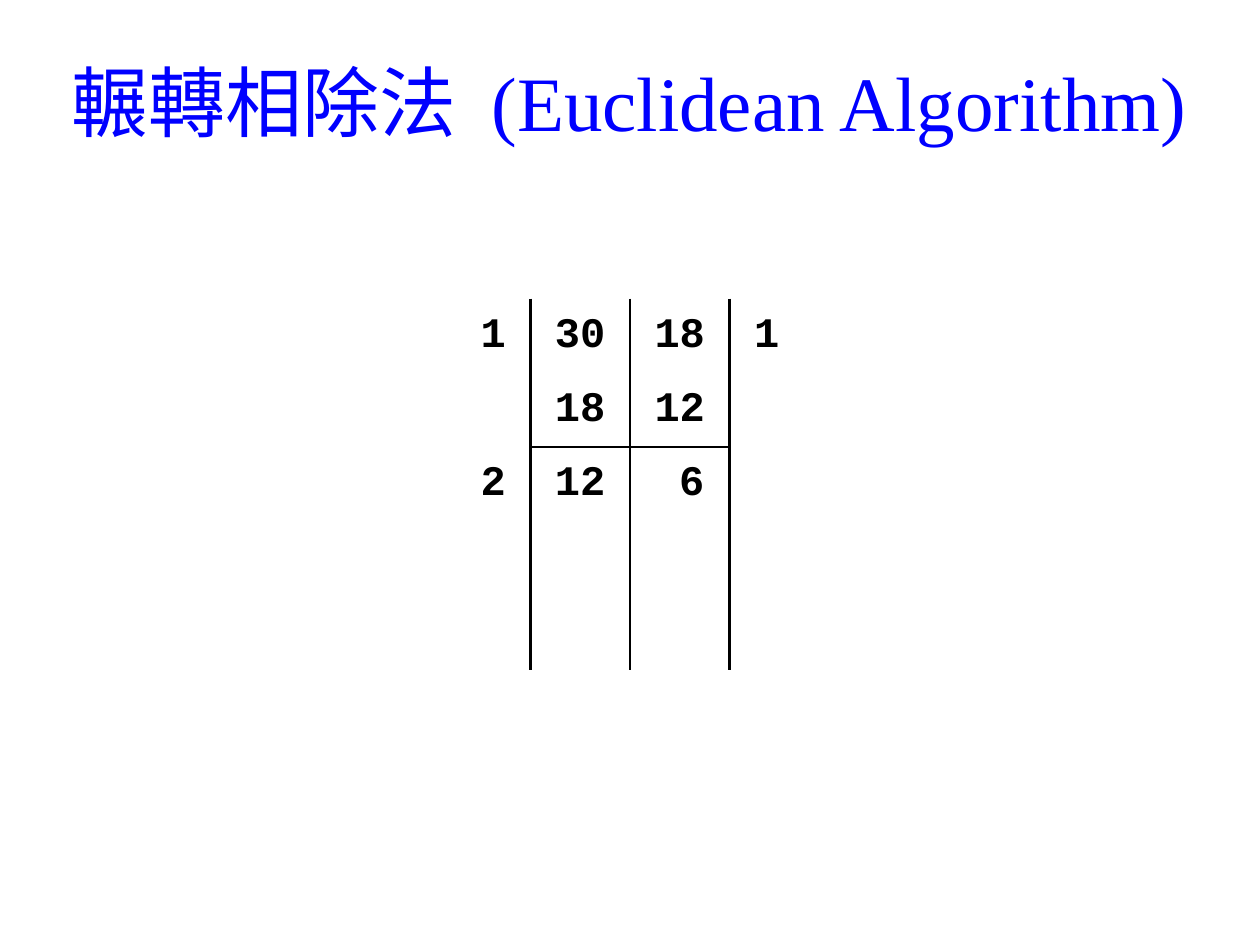
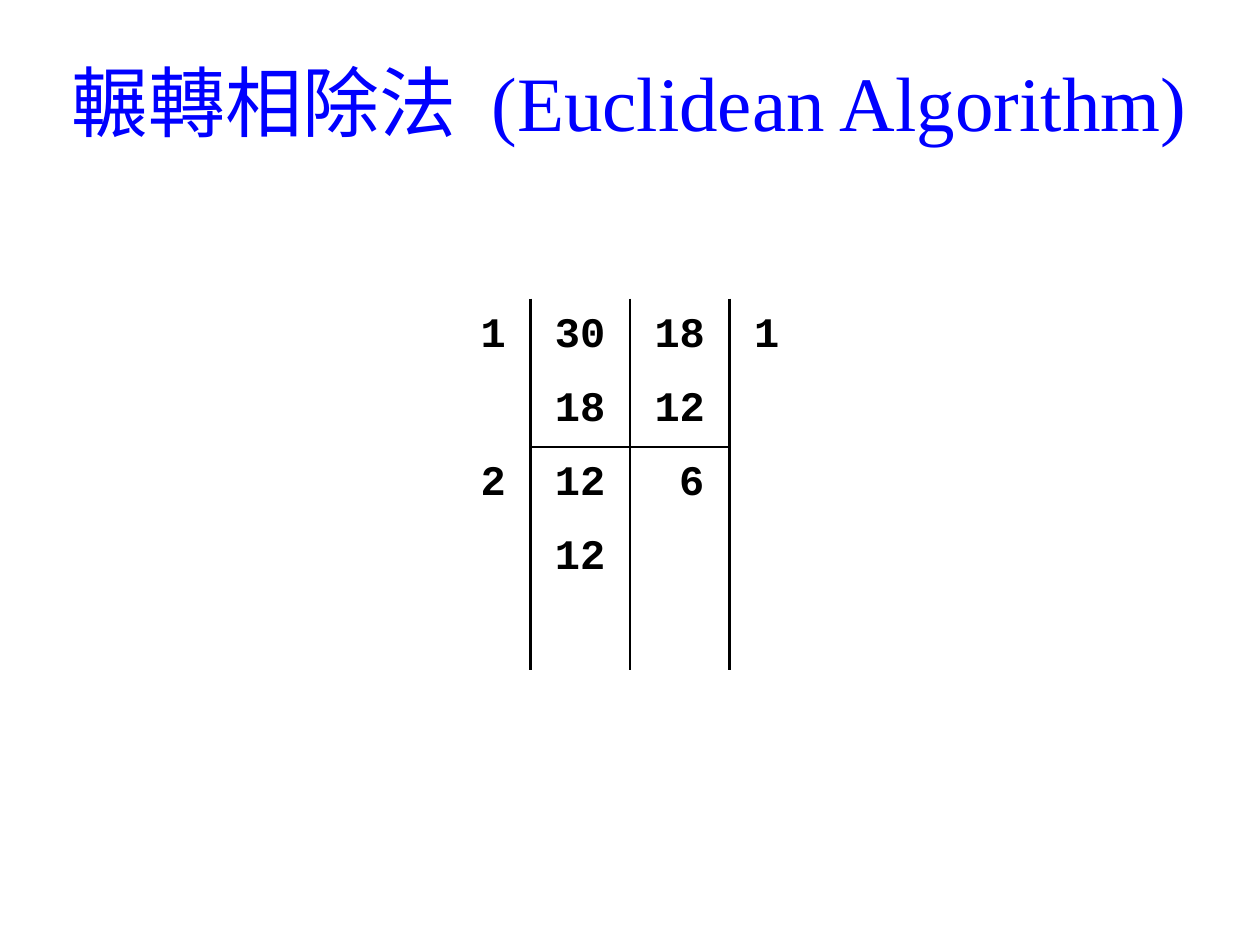
from dataclasses import dataclass

from lxml.etree import SubElement
from pptx import Presentation
from pptx.dml.color import RGBColor
from pptx.enum.text import MSO_ANCHOR as Anchor, PP_ALIGN as Align
from pptx.oxml.ns import qn
from pptx.util import Inches, Pt


@dataclass(frozen=True)
class Theme:
    width: float = 10
    height: float = 7.5
    title_color: str = "0000FF"
    ink: str = "000000"
    title_size: int = 44
    digit_size: int = 24
    rule_width: float = 1.5
    han_font: str = "Noto Sans CJK SC"
    latin_font: str = "Times New Roman"
    digit_font: str = "Courier New"


THEME = Theme()
NO_GRID_STYLE = "{2D5ABB26-0587-4C30-8999-92F81FD0307C}"

# Division layout: quotients outside, the two running numbers inside
COLUMNS = [0.59, 0.79, 0.79, 0.59]
ROW_HEIGHT, ROW_COUNT = 0.59, 5
NUMBER_COLUMNS = (1, 2)
SUBTRACTION_ROW = 1  # the rule is drawn below this row
LADDER_TOP = 2.37
UNITS_MARGIN = 0.2  # keeps a lone unit under the units of the number above

FIRST_STEPS = [
    ["1", "30", "18", "1"],
    ["", "18", "12", ""],
    ["2", "12", "6", ""],
]
STEPS_BY_SLIDE = [FIRST_STEPS, FIRST_STEPS + [["", "12", "", ""]]]


def apply(target, values):
    for name, value in values.items():
        setattr(target, name, value)


def add_run(paragraph, text, font, size, color, bold=False):
    run = paragraph.add_run()
    run.text = text
    apply(run.font, {"name": font, "size": Pt(size), "bold": bold})
    run.font.color.rgb = RGBColor.from_string(color)
    props = run.font._element if hasattr(run.font, "_element") else run._r.get_or_add_rPr()
    SubElement(props, qn("a:ea")).set("typeface", font)
    return props


def add_title(slide):
    box = slide.shapes.add_textbox(
        Inches(0.027 * THEME.width), Inches(0.028 * THEME.height),
        Inches(0.945 * THEME.width), Inches(0.157 * THEME.height))
    apply(box.text_frame, {"word_wrap": True, "vertical_anchor": Anchor.MIDDLE})
    heading = box.text_frame.paragraphs[0]
    heading.alignment = Align.CENTER
    style = (THEME.title_size, THEME.title_color)
    add_run(heading, "輾轉相除法", THEME.han_font, *style)
    # Widen the gap between the two languages by 10 pt
    add_run(heading, " ", THEME.han_font, *style).set("spc", "1000")
    add_run(heading, "(Euclidean Algorithm)", THEME.latin_font, *style)


def cell_edges(row, column):
    """Sides of a cell that carry a rule."""
    inside = column in NUMBER_COLUMNS
    return {
        "lnL": column > 0,
        "lnR": column < len(COLUMNS) - 1,
        "lnT": inside and row == SUBTRACTION_ROW + 1,
        "lnB": inside and row == SUBTRACTION_ROW,
    }


def draw_edges(cell, edges):
    props = cell._tc.get_or_add_tcPr()
    for side, ruled in edges.items():
        line = SubElement(props, qn(f"a:{side}"), w=str(Pt(THEME.rule_width)))
        if ruled:
            fill = SubElement(line, qn("a:solidFill"))
            SubElement(fill, qn("a:srgbClr"), val=THEME.ink)
        else:
            SubElement(line, qn("a:noFill"))


def write_number(cell, column, number):
    lone_unit = column in NUMBER_COLUMNS and len(number) == 1
    apply(cell, {
        "vertical_anchor": Anchor.MIDDLE,
        "margin_left": Inches(0.1),
        "margin_right": Inches(UNITS_MARGIN if lone_unit else 0.1),
        "margin_top": Inches(0.02),
        "margin_bottom": Inches(0.02),
    })
    paragraph = cell.text_frame.paragraphs[0]
    paragraph.alignment = Align.RIGHT if lone_unit else Align.CENTER
    if number:
        add_run(paragraph, number, THEME.digit_font, THEME.digit_size, THEME.ink, bold=True)


def add_division_ladder(slide, steps):
    width = sum(COLUMNS)
    ladder = slide.shapes.add_table(
        ROW_COUNT, len(COLUMNS), Inches((THEME.width - width) / 2), Inches(LADDER_TOP),
        Inches(width), Inches(ROW_HEIGHT * ROW_COUNT)).table
    apply(ladder, {"first_row": False, "horz_banding": False})
    ladder._tbl.tblPr.find(qn("a:tableStyleId")).text = NO_GRID_STYLE
    for column, column_width in zip(ladder.columns, COLUMNS):
        column.width = Inches(column_width)

    blank_rows = [[""] * len(COLUMNS)] * (ROW_COUNT - len(steps))
    for row, numbers in enumerate(steps + blank_rows):
        ladder.rows[row].height = Inches(ROW_HEIGHT)
        for column, number in enumerate(numbers):
            cell = ladder.cell(row, column)
            draw_edges(cell, cell_edges(row, column))
            cell.fill.background()
            write_number(cell, column, number)


def main():
    deck = Presentation()
    apply(deck, {"slide_width": Inches(THEME.width), "slide_height": Inches(THEME.height)})
    blank = deck.slide_layouts[6]
    for steps in STEPS_BY_SLIDE:
        slide = deck.slides.add_slide(blank)
        add_title(slide)
        add_division_ladder(slide, steps)
    deck.save("out.pptx")


if __name__ == "__main__":
    main()
